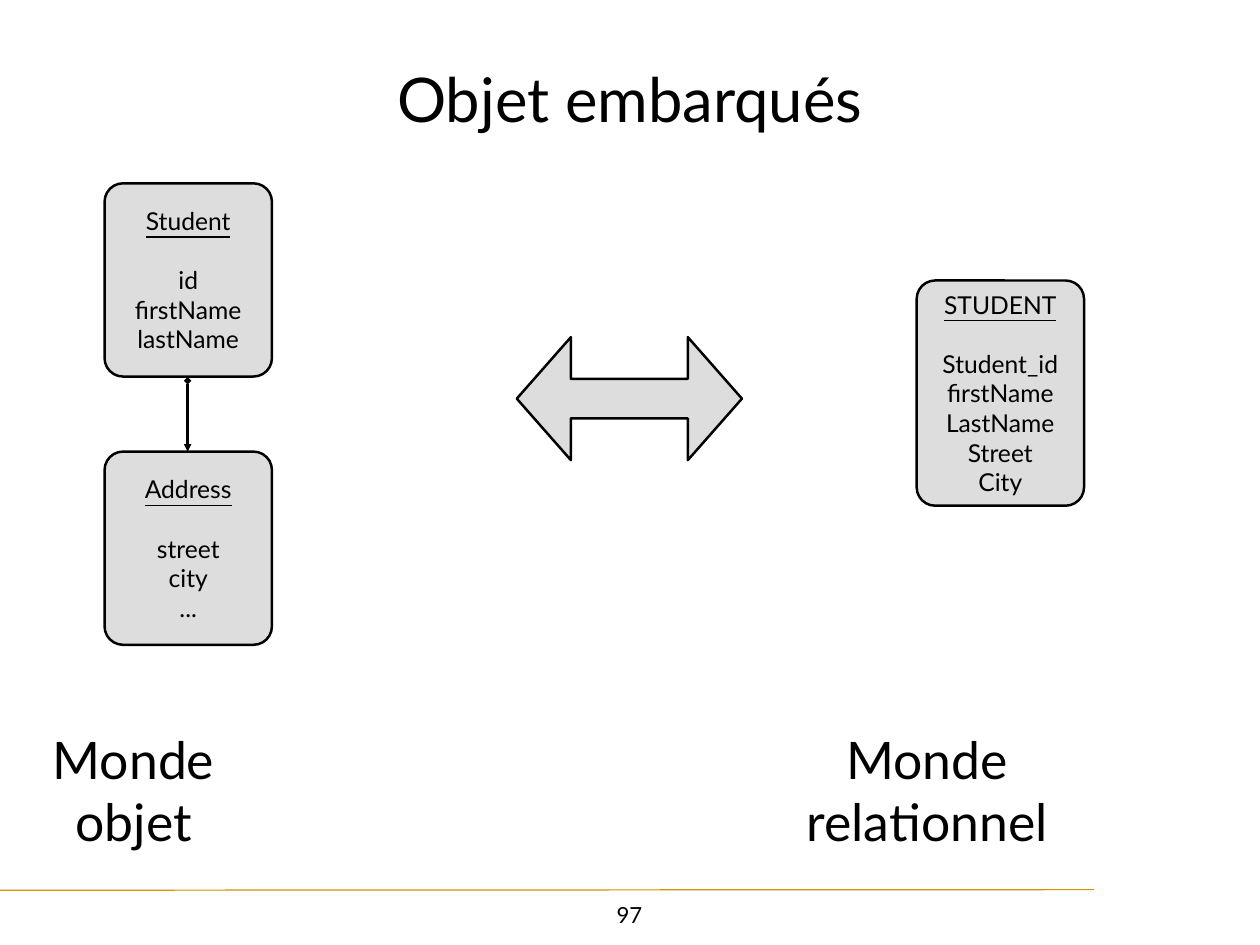
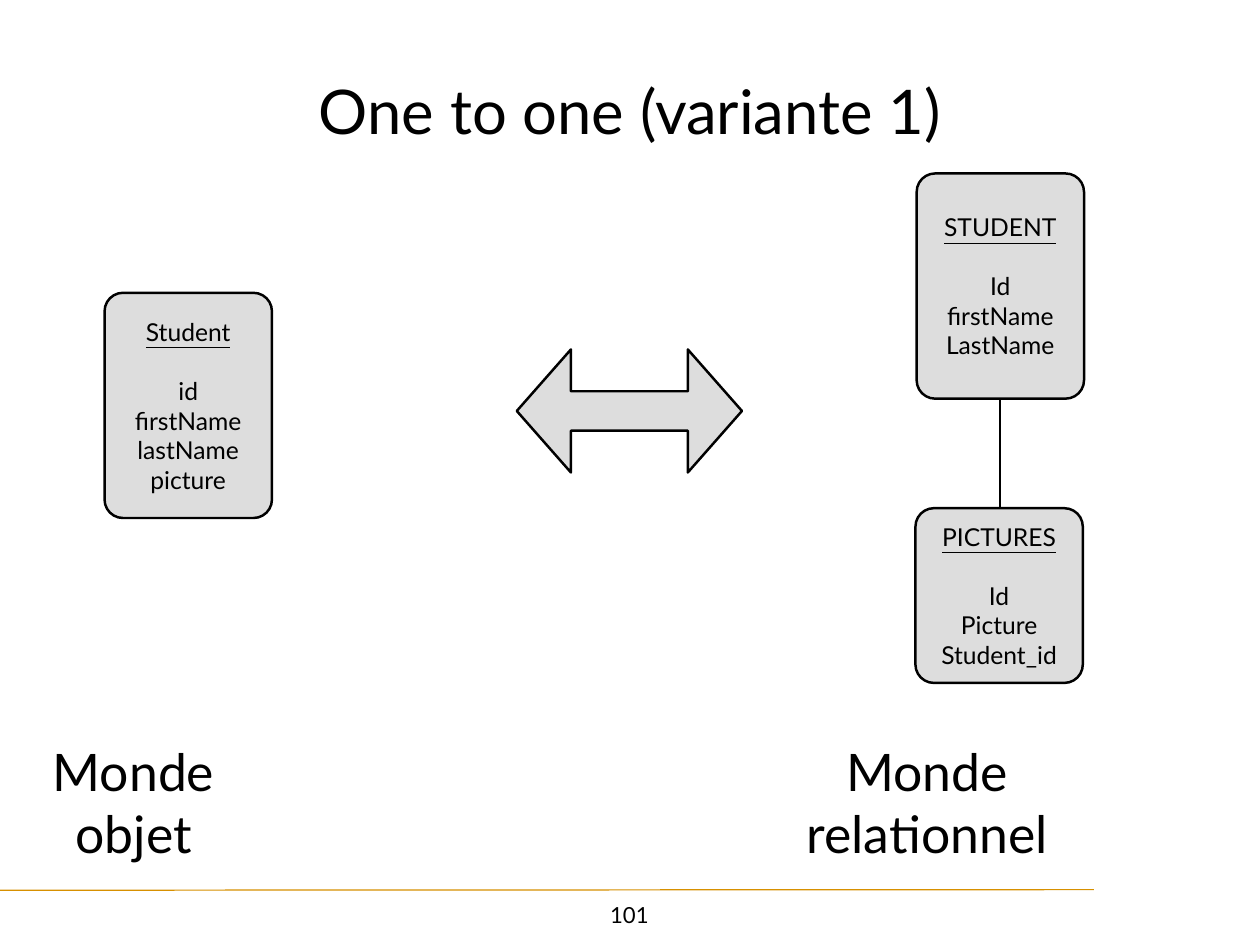
from dataclasses import dataclass

from lxml.etree import SubElement
from pptx import Presentation
from pptx.dml.color import RGBColor
from pptx.enum.shapes import MSO_CONNECTOR, MSO_SHAPE
from pptx.enum.text import MSO_ANCHOR, PP_ALIGN
from pptx.oxml.ns import qn
from pptx.util import Pt


@dataclass(frozen=True)
class Theme:
    """Colours, font and sizes shared by all slides."""
    ink: RGBColor = RGBColor(0x00, 0x00, 0x00)
    panel: RGBColor = RGBColor(0xDD, 0xDD, 0xDD)
    rule: RGBColor = RGBColor(0xD7, 0x90, 0x00)
    font: str = "Lato"
    title: int = 50
    label: int = 42
    body: int = 20
    number: int = 18
    inset: float = 4.5
    outline: int = 2


theme = Theme()


def write(shape, lines, size, heading=False):
    """Fill a shape with centred lines, the first one optionally a heading."""
    frame = shape.text_frame
    frame.word_wrap = True
    frame.vertical_anchor = MSO_ANCHOR.MIDDLE
    frame.margin_left = frame.margin_right = Pt(theme.inset)
    frame.margin_top = frame.margin_bottom = Pt(theme.inset)
    for index, line in enumerate(lines):
        para = frame.add_paragraph() if index else frame.paragraphs[0]
        para.alignment = PP_ALIGN.CENTER
        span = para.add_run()
        span.text = line
        span.font.name = theme.font
        span.font.size = Pt(size)
        span.font.color.rgb = theme.ink
        if heading and index == 0:
            span.font.underline = True
            para.space_after = Pt(size * 1.2)


def draw_line(page, start, end, color, width, ends=()):
    """Draw a straight line without shadow, with optional (tag, type) ends."""
    line = page.shapes.add_connector(
        MSO_CONNECTOR.STRAIGHT, *(Pt(value) for value in (*start, *end)))
    line.line.color.rgb = color
    line.line.width = Pt(width)
    properties = line._element.spPr
    for tag, kind in ends:
        SubElement(properties.find(qn("a:ln")), qn(tag), type=kind)
    SubElement(properties, qn("a:effectLst"))


object_left, table_left, entity_width, link_offset = 85, 745, 136, 67.5
composition = (("a:headEnd", "diamond"), ("a:tailEnd", "triangle"))

# Entities: left, top, height, lines. Links: x, top, bottom, line ends.
slides = [
    {
        "title": "Objet embarqués", "number": "97", "shift": 0,
        "entities": [
            (object_left, 149, 157, ["Student", "id", "firstName", "lastName"]),
            (object_left, 367, 157, ["Address", "street", "city", "..."]),
            (table_left, 228, 183, ["STUDENT", "Student_id", "firstName",
                                    "LastName", "Street", "City"]),
        ],
        "links": [(object_left + link_offset, 309.5, 367, composition)],
    },
    {
        "title": "One to one (variante 1)", "number": "101", "shift": 10,
        "entities": [
            (object_left, 238, 183, ["Student", "id", "firstName",
                                     "lastName", "picture"]),
            (table_left, 141, 183, ["STUDENT", "Id", "firstName", "LastName"]),
            (table_left - 1, 413, 142, ["PICTURES", "Id", "Picture",
                                        "Student_id"]),
        ],
        "links": [(table_left + link_offset, 324, 413, ())],
    },
]

deck = Presentation()
deck.slide_width, deck.slide_height = Pt(1024), Pt(768)

for content in slides:
    page = deck.slides.add_slide(deck.slide_layouts[6])
    shift = content["shift"]
    draw_line(page, (0, 723.5), (889, 723), theme.rule, 1)

    texts = [
        (content["number"], 481.5, 729, 60, 29, theme.number),
        (content["title"], 44, 27.5 + shift, 936, 104, theme.title),
        ("Monde objet", 23.5, 587 + shift, 170, 110, theme.label),
        ("Monde relationnel", 638.5, 587 + shift, 230, 110, theme.label),
    ]
    for text, left, top, width, height, size in texts:
        box = page.shapes.add_textbox(Pt(left), Pt(top), Pt(width), Pt(height))
        write(box, [text], size)

    panels = [(MSO_SHAPE.LEFT_RIGHT_ARROW, (0.32, 0.44),
               420, 274 + shift, 183, 100, [])]
    panels += [(MSO_SHAPE.ROUNDED_RECTANGLE, (0.11,),
                left, top, entity_width, height, lines)
               for left, top, height, lines in content["entities"]]
    for kind, adjustments, left, top, width, height, lines in panels:
        panel = page.shapes.add_shape(
            kind, Pt(left), Pt(top), Pt(width), Pt(height))
        for index, value in enumerate(adjustments):
            panel.adjustments[index] = value
        panel.shadow.inherit = False
        panel.fill.solid()
        panel.fill.fore_color.rgb = theme.panel
        panel.line.color.rgb = theme.ink
        panel.line.width = Pt(theme.outline)
        write(panel, lines, theme.body, heading=True)

    for x, top, bottom, ends in content["links"]:
        draw_line(page, (x, top), (x, bottom), theme.ink, theme.outline, ends)

deck.save("out.pptx")
